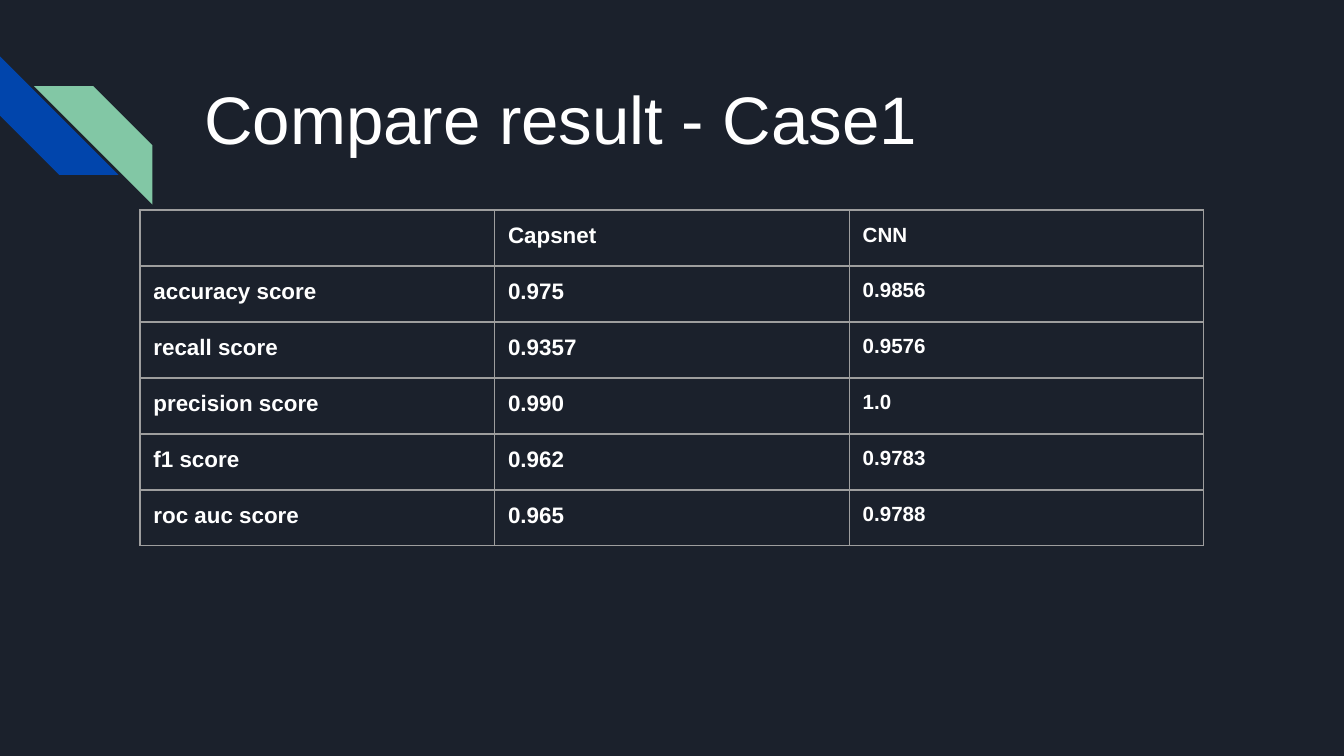
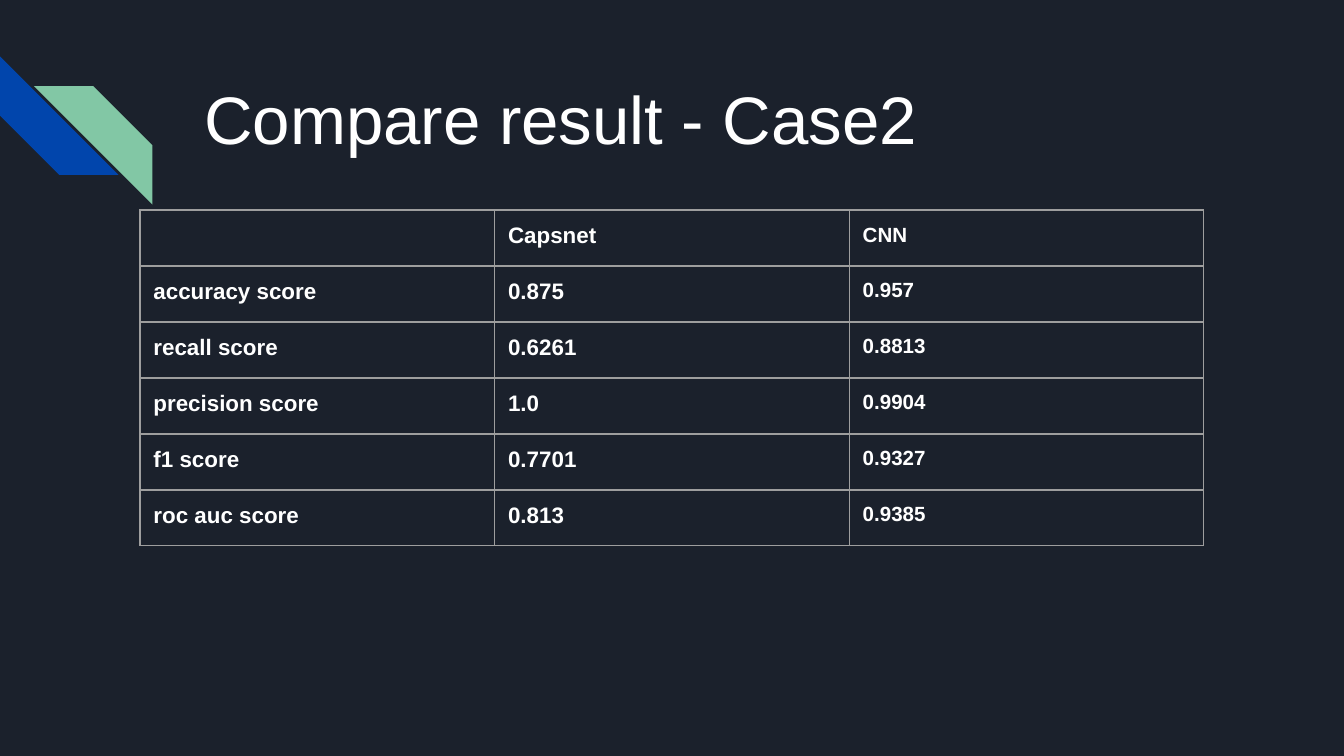
from dataclasses import dataclass

from lxml.etree import SubElement
from pptx import Presentation
from pptx.dml.color import RGBColor
from pptx.enum.shapes import MSO_SHAPE as Preset
from pptx.enum.text import MSO_ANCHOR as Anchor, MSO_AUTO_SIZE as AutoSize, PP_ALIGN as Align
from pptx.oxml.ns import qn
from pptx.util import Pt


# Shared look
@dataclass(frozen=True)
class Theme:
    background: str = "1B212C"
    text: str = "FFFFFF"
    blue: str = "0145AC"
    green: str = "82C7A5"
    border: str = "9E9E9E"
    font: str = "Arial"
    title_size: float = 36
    column_sizes: tuple = (12, 12, 11)
    border_width: float = 0.75
    inset: float = 7.2


THEME = Theme()
TITLE_ONLY = 5
COLUMN_WIDTH, ROW_HEIGHT = 190, 30
STRIPE_SIZE = 63.5

# Scores of the two models in each case
HEADER = ("", "Capsnet", "CNN")
METRICS = ("accuracy score", "recall score", "precision score", "f1 score", "roc auc score")
CASES = {
    "Compare result - Case1": (
        ("0.975", "0.9357", "0.990", "0.962", "0.965"),
        ("0.9856", "0.9576", "1.0", "0.9783", "0.9788"),
    ),
    "Compare result - Case2": (
        ("0.875", "0.6261", "1.0", "0.7701", "0.813"),
        ("0.957", "0.8813", "0.9904", "0.9327", "0.9385"),
    ),
}


def color(code):
    return RGBColor.from_string(code)


def style_text(paragraph, size, bold=False):
    for run in paragraph.runs:
        run.font.name = THEME.font
        run.font.size = Pt(size)
        run.font.bold = bold
        run.font.color.rgb = color(THEME.text)


# Corner decoration: the preset stripe, turned to point down to the right
def add_stripe(slide, left, top, rotation, fill):
    stripe = slide.shapes.add_shape(
        Preset.DIAGONAL_STRIPE, Pt(left), Pt(top), Pt(STRIPE_SIZE), Pt(STRIPE_SIZE))
    stripe.rotation = rotation
    stripe.shadow.inherit = False
    stripe.fill.solid()
    stripe.fill.fore_color.rgb = color(fill)
    stripe.line.fill.background()


def add_corner(slide):
    add_stripe(slide, 0, 30.2, 270, THEME.blue)
    add_stripe(slide, 18.2, 46.2, 90, THEME.green)


def set_title(slide, text):
    title = slide.shapes.title
    title.left, title.top, title.width, title.height = Pt(102.2), Pt(31), Pt(554.4), Pt(72)
    frame = title.text_frame
    frame.text = text
    frame.word_wrap = True
    frame.auto_size = AutoSize.NONE
    frame.vertical_anchor = Anchor.TOP
    frame.margin_left = frame.margin_right = frame.margin_bottom = Pt(THEME.inset)
    frame.margin_top = Pt(10.5)  # sets the title slightly lower than the inset
    frame.paragraphs[0].alignment = Align.LEFT
    style_text(frame.paragraphs[0], THEME.title_size)


# Score table
def add_borders(cell):
    properties = cell._tc.get_or_add_tcPr()
    for side in ("a:lnL", "a:lnR", "a:lnT", "a:lnB"):
        line = SubElement(properties, qn(side), w=str(Pt(THEME.border_width)))
        fill = SubElement(line, qn("a:solidFill"))
        SubElement(fill, qn("a:srgbClr"), val=THEME.border)


def fill_cell(cell, text, size):
    cell.margin_left = cell.margin_right = Pt(THEME.inset)
    cell.margin_top = cell.margin_bottom = Pt(THEME.inset)
    cell.vertical_anchor = Anchor.TOP
    add_borders(cell)
    cell.fill.background()
    paragraph = cell.text_frame.paragraphs[0]
    if text:
        paragraph.text = text
        style_text(paragraph, size, bold=True)
    else:  # keeps the empty cell from stretching its row
        SubElement(paragraph._p, qn("a:endParaRPr"), sz=str(size * 100))


def add_scores(slide, capsnet, cnn):
    rows = [HEADER, *zip(METRICS, capsnet, cnn)]
    scores = slide.shapes.add_table(
        len(rows), len(HEADER), Pt(75), Pt(112.5),
        Pt(COLUMN_WIDTH * len(HEADER)), Pt(ROW_HEIGHT * len(rows))).table
    scores.first_row = scores.horz_banding = False
    for row_index, row in enumerate(rows):
        for column_index, text in enumerate(row):
            fill_cell(scores.cell(row_index, column_index), text,
                      THEME.column_sizes[column_index])


def main():
    deck = Presentation()
    deck.slide_width, deck.slide_height = Pt(720), Pt(405)
    backdrop = deck.slide_master.background.fill
    backdrop.solid()
    backdrop.fore_color.rgb = color(THEME.background)
    for title, (capsnet, cnn) in CASES.items():
        slide = deck.slides.add_slide(deck.slide_layouts[TITLE_ONLY])
        add_corner(slide)
        set_title(slide, title)
        add_scores(slide, capsnet, cnn)
    deck.save("out.pptx")


main()
